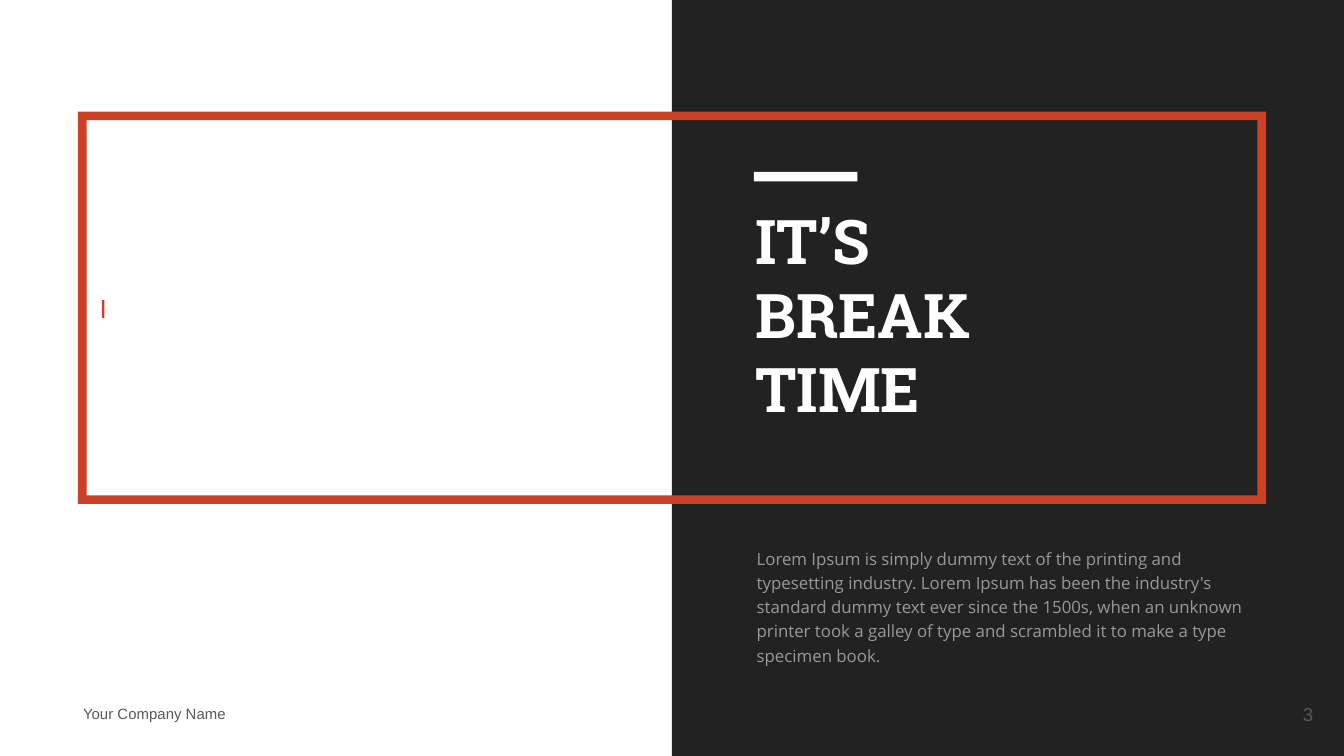
import pptx
import pptx.util
import pptx.dml.color
import pptx.enum.shapes
import pptx.enum.text

Inches = pptx.util.Inches
SHAPE = pptx.enum.shapes.MSO_SHAPE
ALIGN = pptx.enum.text.PP_ALIGN
ANCHOR = pptx.enum.text.MSO_ANCHOR

# Widescreen page, 16:9
PAGE_WIDTH = Inches(10)
PAGE_HEIGHT = PAGE_WIDTH * 9 // 16

COLORS = {
    "white": "FFFFFF",
    "panel": "222222",
    "accent": "CC4125",
    "footer": "595959",
    "body": "999999",
}

# Content
TITLE = ["IT’S", "BREAK", "TIME"]
BODY = [
    "Lorem Ipsum is simply dummy text of the printing and typesetting "
    "industry. Lorem Ipsum has been the industry's standard dummy text ever "
    "since the 1500s, when an unknown printer took a galley of type and "
    "scrambled it to make a type specimen book."
]
FRAME_TEXT = ["I"]
COMPANY = ["Your Company Name"]
PAGE_NUMBER = ["3"]


def rgb(name):
    return pptx.dml.color.RGBColor.from_string(COLORS[name])


def inches(*lengths):
    return [Inches(length) for length in lengths]


def place(shape, left, top, width, height):
    shape.left, shape.top, shape.width, shape.height = inches(
        left, top, width, height)


def add_block(slide, kind, box, color):
    block = slide.shapes.add_shape(kind, *box)
    block.shadow.inherit = False
    block.fill.solid()
    block.fill.fore_color.rgb = rgb(color)
    block.line.fill.background()
    return block


def write(shape, lines, size, font, color, bold=False, align=ALIGN.LEFT,
          anchor=ANCHOR.MIDDLE, spacing=1.0):
    frame = shape.text_frame
    frame.word_wrap = True
    frame.auto_size = pptx.enum.text.MSO_AUTO_SIZE.NONE
    frame.vertical_anchor = anchor
    frame.margin_left = frame.margin_right = Inches(0.1)
    frame.margin_top = frame.margin_bottom = Inches(0.1)
    frame.text = "\n".join(lines)
    for paragraph in frame.paragraphs:
        paragraph.alignment = align
        paragraph.line_spacing = spacing
        paragraph.space_before = pptx.util.Pt(0)
        paragraph.font.size = pptx.util.Pt(size)
        paragraph.font.name = font
        paragraph.font.bold = bold
        paragraph.font.color.rgb = rgb(color)


def main():
    deck = pptx.Presentation()
    deck.slide_width, deck.slide_height = PAGE_WIDTH, PAGE_HEIGHT
    slide = deck.slides.add_slide(deck.slide_layouts[0])
    title, body = slide.placeholders

    # Footer company name
    company = slide.shapes.add_textbox(*inches(0.52, 5.18, 1.67, 0.26))
    write(company, COMPANY, 8, "Arial", "footer")

    # Dark half, accent frame and rule above the title
    half = PAGE_WIDTH // 2
    add_block(slide, SHAPE.RECTANGLE, (half, 0, half, PAGE_HEIGHT), "panel")
    border = add_block(slide, SHAPE.FRAME, inches(0.58, 0.83, 8.84, 2.92),
                       "accent")
    border.adjustments[0] = 0.022
    write(border, FRAME_TEXT, 14, "Arial", "accent")
    add_block(slide, SHAPE.RECTANGLE, inches(5.61, 1.28, 0.77, 0.07), "white")

    # Page number
    number = slide.shapes.add_textbox(*inches(9.27, 5.1, 0.6, 0.43))
    write(number, PAGE_NUMBER, 10, "Arial", "footer", align=ALIGN.RIGHT)

    # Title and body, brought in front of the dark half
    place(title, 5.52, 1.41, 3.86, 1.81)
    write(title, TITLE, 33, "Roboto Slab", "white", bold=True,
          anchor=ANCHOR.TOP)
    place(body, 5.53, 3.95, 3.86, 1.07)
    write(body, BODY, 9, "Open Sans", "body", anchor=ANCHOR.TOP, spacing=1.2)
    for placeholder in (title, body):
        placeholder.element.getparent().append(placeholder.element)

    deck.save("out.pptx")


if __name__ == "__main__":
    main()
